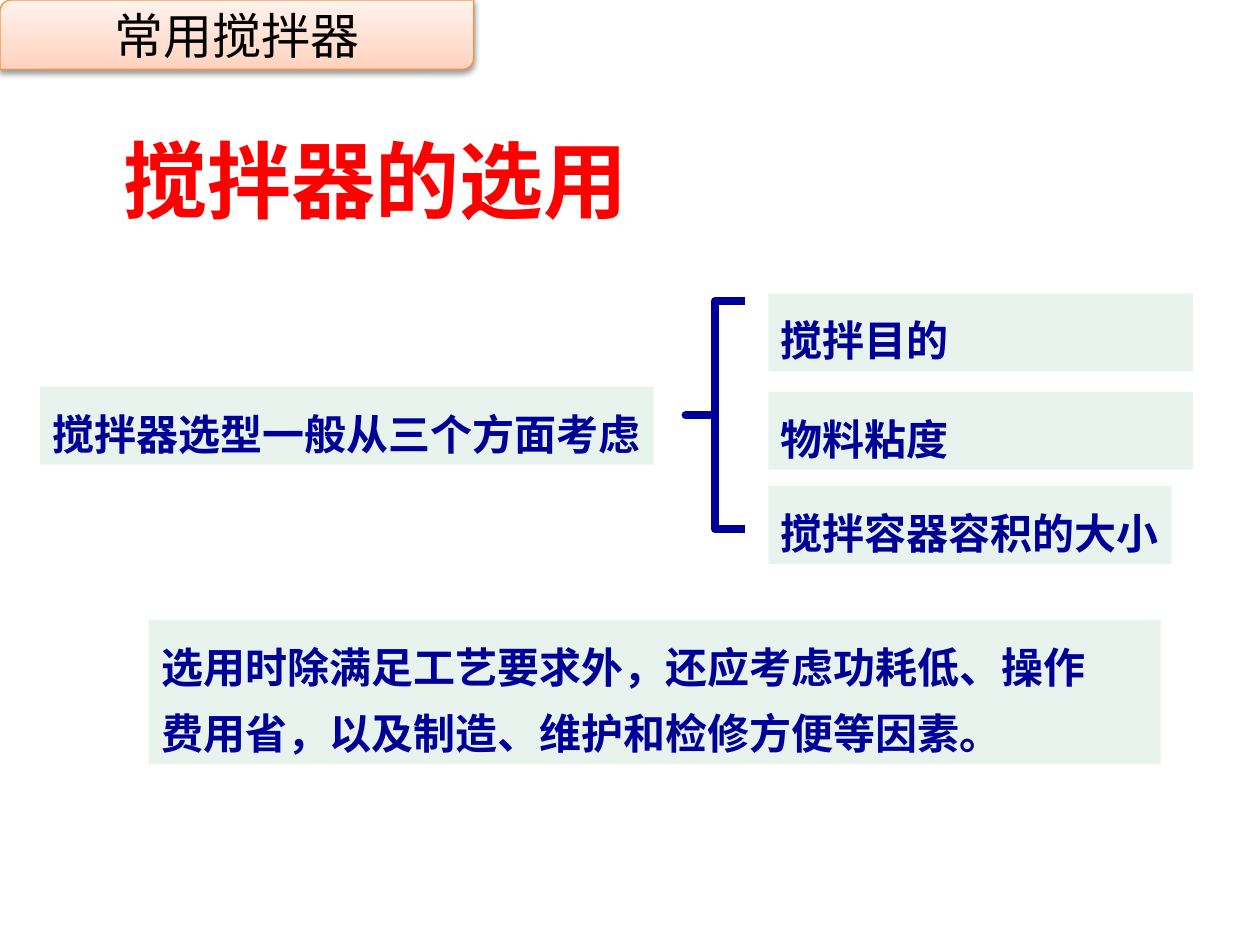
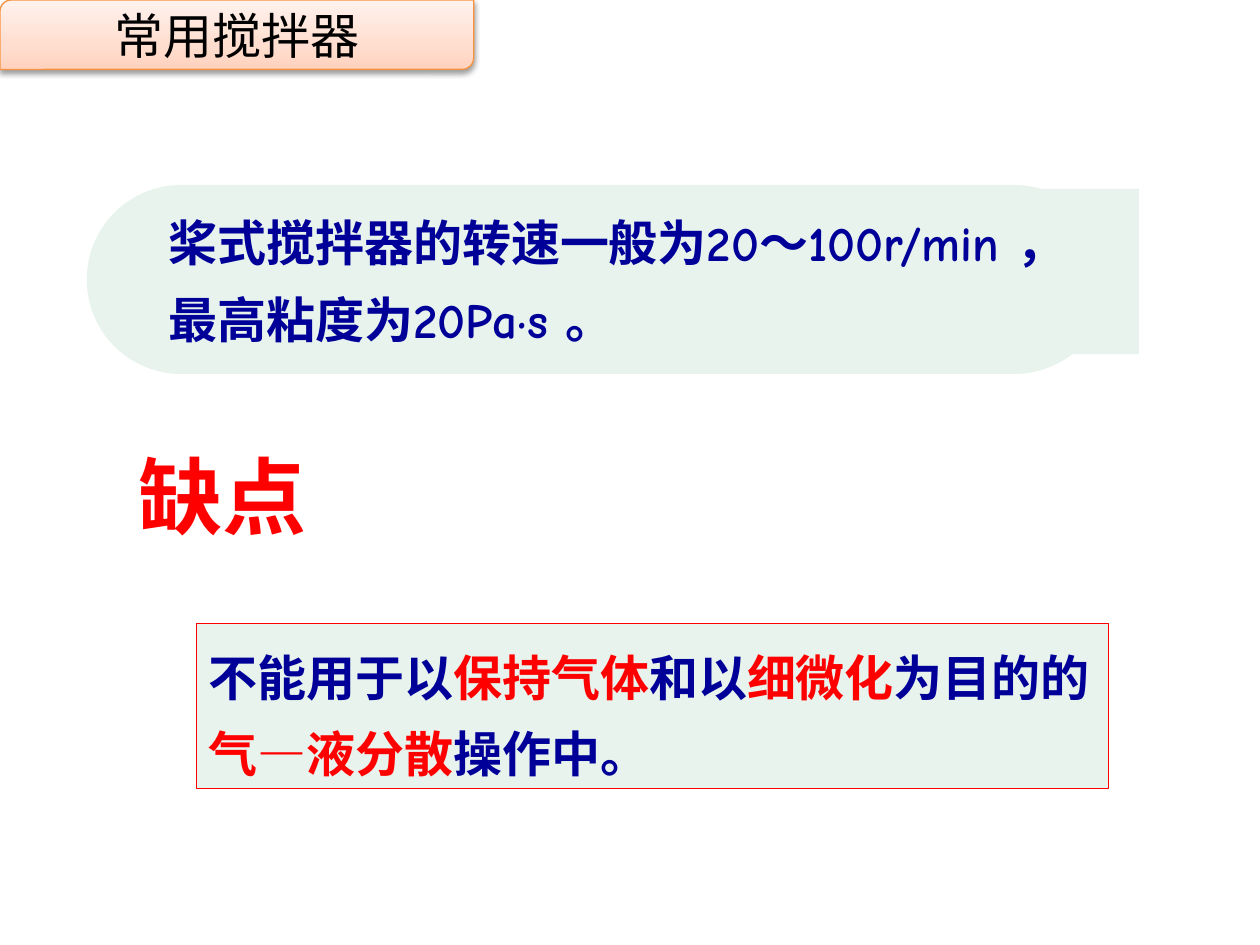
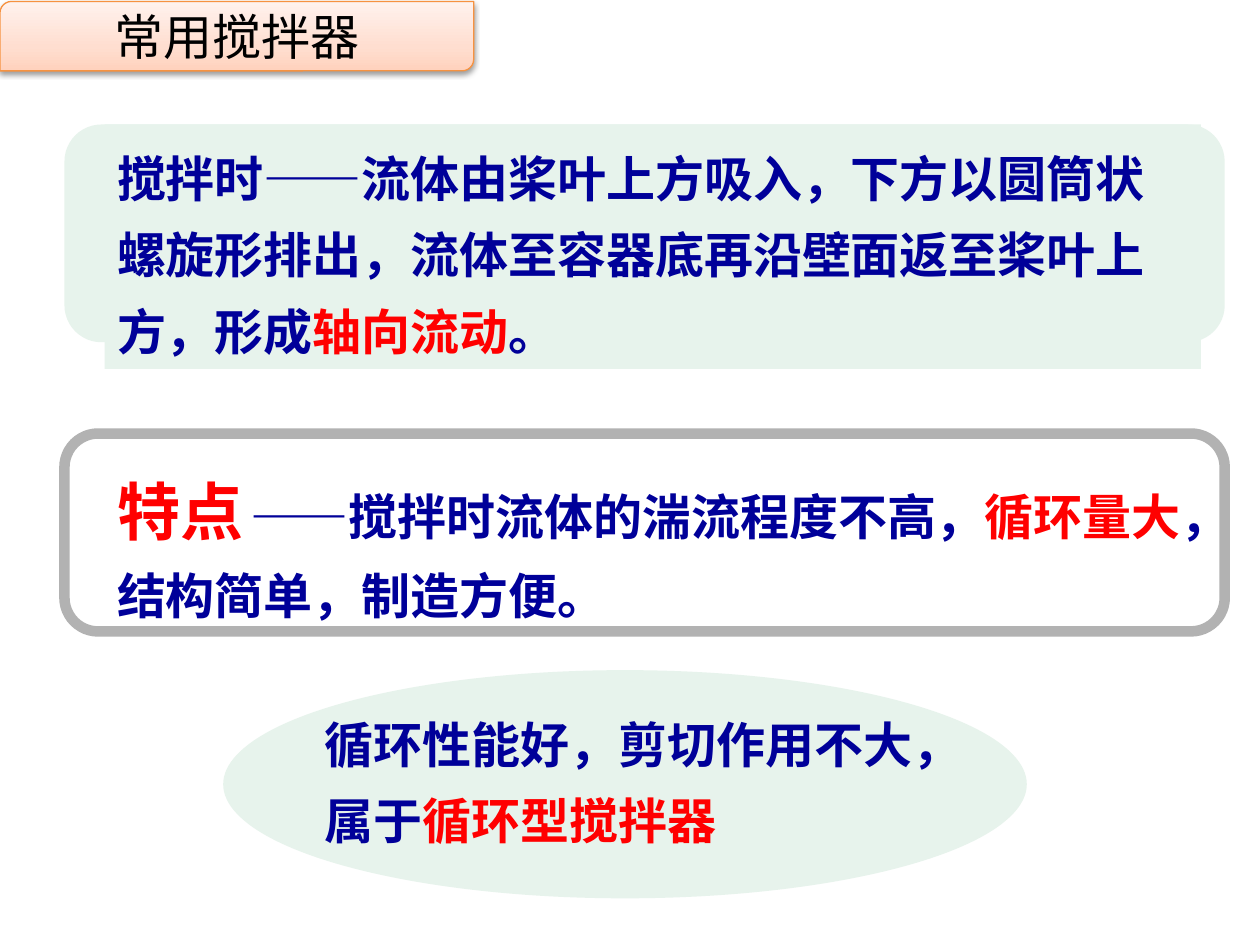
from lxml import etree
from pptx import Presentation
from pptx import util as u
from pptx.dml.color import RGBColor
from pptx.enum import shapes, text
from pptx.oxml import parse_xml
from pptx.oxml.ns import qn

NAVY, RED, BLACK, MINT = "000099", "FF0000", "000000", "E7F3EC"
TAB_LINE, FRAME_GRAY = "F69240", "B2B2B2"
TAB_STOPS = ((0, "FFD2BD"), (35, "FFDED0"), (100, "FFF2ED"))
CJK_FONT = "Noto Sans CJK SC"
DRAWING_NS = 'xmlns:a="http://schemas.openxmlformats.org/drawingml/2006/main"'
KIND = shapes.MSO_SHAPE
TOP, MIDDLE = text.MSO_ANCHOR.TOP, text.MSO_ANCHOR.MIDDLE
GROW = text.MSO_AUTO_SIZE.SHAPE_TO_FIT_TEXT
LEFT, CENTER = text.PP_ALIGN.LEFT, text.PP_ALIGN.CENTER

HEADING = {"name": "Times New Roman", "size": 48, "bold": True, "color": RED}
ITEM = {"name": "Arial", "size": 24, "bold": True, "color": NAVY}
BODY = {"name": CJK_FONT, "size": 28, "bold": True, "color": NAVY}
COMIC = {**BODY, "name": "Comic Neue"}
TAB_TEXT = {"name": "Arial", "size": 28, "bold": False, "color": BLACK}


def rgb(value):
    return RGBColor.from_string(value)


def place(shape, area):
    for side, length in zip(("left", "top", "width", "height"), area):
        setattr(shape, side, u.Cm(length))


def format_span(span, style):
    values = {**style, "size": u.Pt(style["size"])}
    span.font.color.rgb = rgb(values.pop("color"))
    for key, value in values.items():
        setattr(span.font, key, value)
    east_asian = etree.SubElement(span.font._element, qn("a:ea"))
    east_asian.set("typeface", CJK_FONT)


def write(shape, paragraphs, style, spacing=1.3, align=LEFT, **frame_format):
    """Fill a shape with paragraphs, each a list of strings or (string, style changes)."""
    frame = shape.text_frame
    settings = {"word_wrap": True, "vertical_anchor": TOP, **frame_format}
    for key, value in settings.items():
        setattr(frame, key, value)
    for index, parts in enumerate(paragraphs):
        para = frame.add_paragraph() if index else frame.paragraphs[0]
        para.alignment, para.line_spacing = align, spacing
        for part in parts:
            content, changes = (part, {}) if isinstance(part, str) else part
            span = para.add_run()
            span.text = content
            format_span(span, {**style, **changes})


def add_panel(page, kind, area, fill=MINT, line=None, weight=0.75, adjust=()):
    panel = page.shapes.add_shape(kind, *map(u.Cm, area))
    panel.shadow.inherit = False
    for index, value in enumerate(adjust):
        panel.adjustments[index] = value
    if fill:
        panel.fill.solid()
        panel.fill.fore_color.rgb = rgb(fill)
    else:
        panel.fill.background()
    if line:
        panel.line.color.rgb = rgb(line)
        panel.line.width = u.Pt(weight)
    else:
        panel.line.fill.background()
    return panel


def add_text(page, area, paragraphs, style, **options):
    box = page.shapes.add_textbox(*map(u.Cm, area))
    write(box, paragraphs, style, **options)


def add_card(page, area, paragraphs, style, line=None, **options):
    write(add_panel(page, KIND.RECTANGLE, area, line=line), paragraphs, style, **options)


def style_tab(tab):
    """Give the title tab its gradient and soft shadow."""
    stops = "".join(
        f'<a:gs pos="{position * 1000}"><a:srgbClr val="{color}"/></a:gs>'
        for position, color in TAB_STOPS)
    gradient = parse_xml(f'<a:gradFill {DRAWING_NS} rotWithShape="1"><a:gsLst>{stops}</a:gsLst>'
                         '<a:lin ang="16200000" scaled="0"/></a:gradFill>')
    properties = tab._element.spPr
    properties.replace(properties.find(qn("a:solidFill")), gradient)
    shadow = parse_xml(
        f'<a:outerShdw {DRAWING_NS} blurRad="40000" dist="20000" dir="5400000" rotWithShape="0">'
        '<a:srgbClr val="000000"><a:alpha val="38000"/></a:srgbClr></a:outerShdw>')
    properties.find(qn("a:effectLst")).append(shadow)


def add_page(deck, tab_top=0):
    page = deck.slides.add_slide(deck.slide_layouts[5])
    area = (0, tab_top, 9.55, 1.4)
    style_tab(add_panel(page, KIND.ROUND_2_DIAG_RECTANGLE, area, line=TAB_LINE))
    title = page.shapes.title
    page.shapes._spTree.append(title._element)
    place(title, area)
    write(title, [["常用搅拌器"]], TAB_TEXT, spacing=1, align=CENTER, vertical_anchor=MIDDLE,
          auto_size=text.MSO_AUTO_SIZE.NONE)
    return page


def build_selection(deck):
    page = add_page(deck)
    add_text(page, (2.24, 2.46, 12.8, 2.29), [["搅拌器的选用"]], HEADING, spacing=1)
    add_card(page, (3, 12.5, 20.4, 2.9),
             [["选用时除满足工艺要求外，还应考虑功耗低、操作"],
              ["费用省，以及制造、维护和检修方便等因素。"]], ITEM, vertical_anchor=MIDDLE)
    add_card(page, (0.81, 7.8, 12.37, 1.57), [["搅拌器选型一般从三个方面考虑"]], ITEM,
             vertical_anchor=MIDDLE, word_wrap=False)
    factors = (("搅拌目的", 5.92, 8.56, True), ("物料粘度", 7.9, 8.56, True),
               ("搅拌容器容积的大小", 9.8, 8.13, False))
    for factor, top, width, wrap in factors:
        add_card(page, (15.49, top, width, 1.57), [[factor]], ITEM,
                 vertical_anchor=MIDDLE, word_wrap=wrap)
    add_panel(page, KIND.LEFT_BRACE, (13.82, 6.07, 1.19, 4.6), fill=None,
              line=NAVY, weight=4.5, adjust=(0, 0.5))


def build_paddle(deck):
    page = add_page(deck)
    add_panel(page, KIND.ROUNDED_RECTANGLE, (1.75, 3.73, 20.6, 3.81), adjust=(0.5,))
    add_card(page, (3.15, 3.81, 19.81, 3.33),
             [["桨式搅拌器的转速一般为20～100r/min ，"], ["最高粘度为20Pa·s 。"]], COMIC)
    add_text(page, (2.54, 8.84, 5.38, 2.29), [["缺点"]], {**HEADING, "name": "Comic Neue"},
             spacing=1, vertical_anchor=MIDDLE)
    red = {"color": RED}
    add_card(page, (3.96, 12.57, 18.39, 3.33),
             [["不能用于以", ("保持气体", red), "和以", ("细微化", red), "为目的的",
               ("气—液分散", red), "操作中。"]], BODY, line=RED)


def build_axial_flow(deck):
    page = add_page(deck, tab_top=0.03)
    red = {"color": RED}
    add_panel(page, KIND.OVAL, (4.5, 13.51, 16.2, 4.6))
    add_panel(page, KIND.ROUNDED_RECTANGLE, (1.3, 2.51, 23.39, 4.39), adjust=(0.17,))
    add_text(page, (2.11, 8.92, 22, 3.81),
             [[("特点", {**red, "size": 36}), (" ", {"size": 20}),
               "——搅拌时流体的湍流程度不高，", ("循环量大", red), "，结构简单，制造方便。"]],
             COMIC, vertical_anchor=MIDDLE, auto_size=GROW)
    add_card(page, (2.11, 2.51, 22.1, 4.93),
             [["搅拌时——流体由桨叶上方吸入，下方以圆筒状螺旋形排出，"
               "流体至容器底再沿壁面返至桨叶上方，形成", ("轴向流动", red), "。"]], BODY)
    add_panel(page, KIND.ROUNDED_RECTANGLE, (1.3, 8.74, 23.39, 3.99), fill=None,
              line=FRAME_GRAY, weight=6, adjust=(0.17,))
    add_text(page, (6.3, 13.92, 13.36, 3.33),
             [["循环性能好，剪切作用不大，"], ["属于", ("循环型搅拌器", red)]], COMIC,
             word_wrap=False)


def main():
    deck = Presentation()
    deck.slide_width, deck.slide_height = u.Cm(25.4), u.Cm(19.05)
    build_selection(deck)
    build_paddle(deck)
    build_axial_flow(deck)
    deck.save("out.pptx")


if __name__ == "__main__":
    main()
